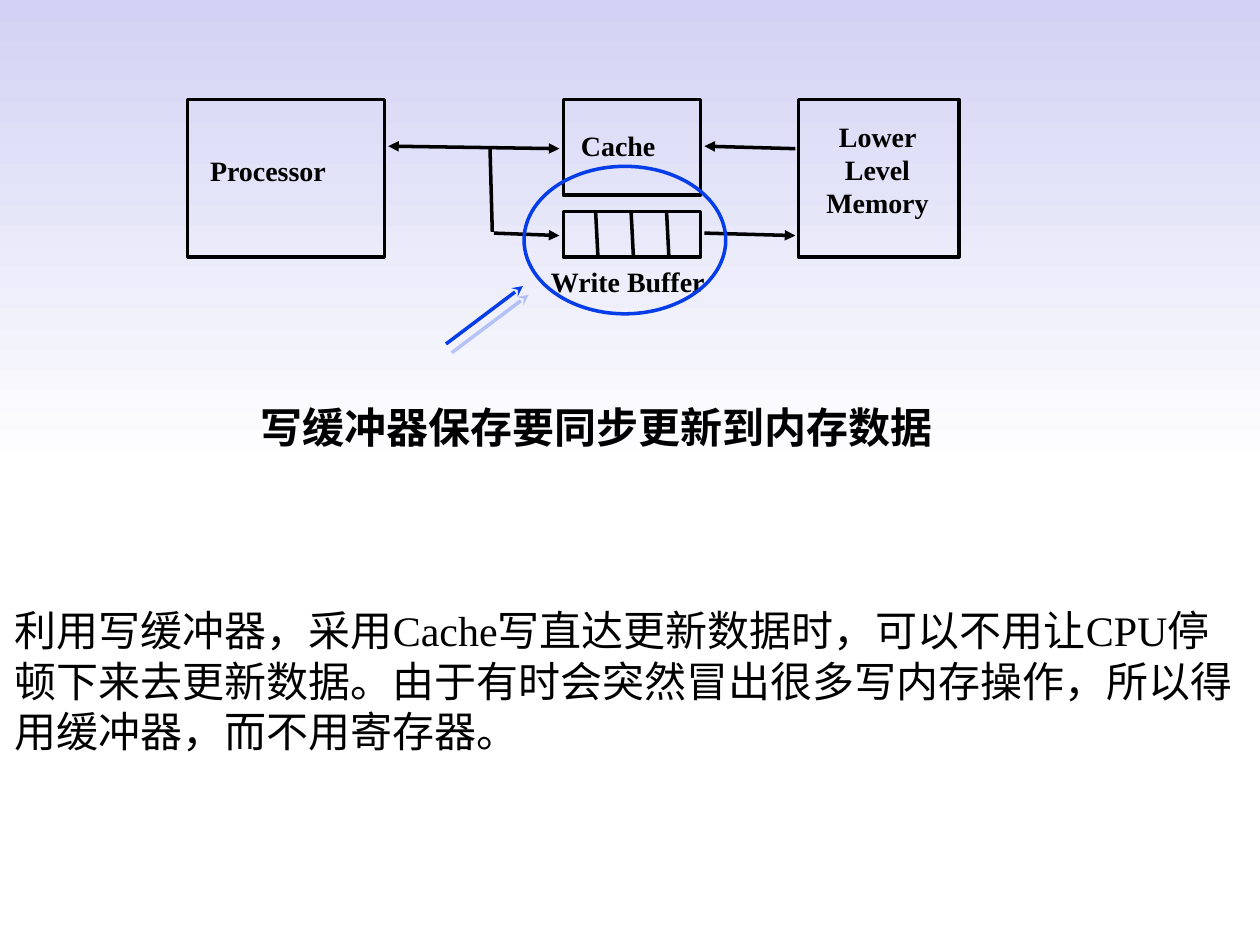
from dataclasses import dataclass

from lxml.etree import SubElement
from pptx import Presentation
from pptx.dml.color import RGBColor
from pptx.enum.shapes import MSO_CONNECTOR, MSO_SHAPE
from pptx.enum.text import PP_ALIGN
from pptx.oxml.ns import qn
from pptx.util import Inches, Pt

BLACK, BLUE = "000000", "053DE8"
SERIF, CJK = "Times New Roman", "Noto Sans CJK SC"


@dataclass
class Box:
    """An area in inches, divided into 100 columns and 100 rows."""
    left: float
    top: float
    width: float
    height: float

    def point(self, col, row):
        return (Inches(self.left + self.width * col / 100),
                Inches(self.top + self.height * row / 100))

    def area(self, col, row, cols, rows):
        return (*self.point(col, row),
                Inches(self.width * cols / 100), Inches(self.height * rows / 100))


def color(value):
    return RGBColor.from_string(value)


def add_outline(slide, area, preset=MSO_SHAPE.RECTANGLE, line=BLACK):
    outline = slide.shapes.add_shape(preset, *area)
    outline.shadow.inherit = False
    outline.fill.background()
    outline.line.color.rgb = color(line)
    outline.line.width = Pt(2)


def add_line(slide, start, end, line=BLACK, head=None, tail=None):
    """Draw a straight line and return its effect list."""
    link = slide.shapes.add_connector(MSO_CONNECTOR.STRAIGHT, *start, *end)
    link.line.color.rgb = color(line)
    link.line.width = Pt(2)
    outline = link.line._get_or_add_ln()
    for tag, arrow in (("a:headEnd", head), ("a:tailEnd", tail)):
        if arrow:
            SubElement(outline, qn(tag), type=arrow)
    return SubElement(link._element.spPr, qn("a:effectLst"))


def add_text(slide, area, text, size, bold=False, latin=SERIF, align=PP_ALIGN.LEFT,
             wrap=True, spacing=None, insets=(0, 0)):
    frame = slide.shapes.add_textbox(*area).text_frame
    frame.word_wrap = wrap
    frame.margin_left = frame.margin_right = Inches(insets[0])
    frame.margin_top = frame.margin_bottom = Inches(insets[1])
    paragraph = frame.paragraphs[0]
    paragraph.text = text
    paragraph.alignment = align
    if spacing:
        paragraph.line_spacing = Pt(spacing)
    font = paragraph.font
    font.name, font.size, font.bold = latin, Pt(size), bold
    font.color.rgb = color(BLACK)
    SubElement(font._element, qn("a:ea"), typeface=CJK)


def paint_background(slide):
    fill = slide.background.fill
    fill.gradient()
    fill.gradient_angle = 270
    for stop, position, shade in zip(fill.gradient_stops, (0, 0.5), ("D2D2F4", "FFFFFF")):
        stop.position = position
        stop.color.rgb = color(shade)


def add_memory_diagram(slide, box):
    # Processor, cache, write buffer and memory
    for block in ((0, 0, 25.5, 100), (48.7, 0, 17.8, 60.8),
                  (48.7, 71.2, 17.8, 28.8), (79.2, 0, 20.8, 100)):
        add_outline(slide, box.area(*block))

    # Buffer entries
    for entry in range(3):
        col = 52.9 + 4.6 * entry
        add_line(slide, box.point(col, 71.2), box.point(col + 0.3, 100))

    # Data paths
    arrow = "triangle"
    for start, end, head, tail in (
        ((39.7, 84.8), (48.2, 86.4), None, arrow),
        ((26, 29.6), (48.2, 31.2), arrow, arrow),
        ((67, 84.8), (78.8, 86.4), None, arrow),
        ((67, 29.6), (78.8, 31.2), arrow, None),
        ((39.2, 31.2), (39.5, 84), None, None),
    ):
        add_line(slide, box.point(*start), box.point(*end), head=head, tail=tail)

    # Labels
    for label, place in (("Processor", (2.9, 34.4, 17, 24.8)),
                         ("Cache", (51, 18.4, 11, 24.8)),
                         ("Write Buffer", (47.1, 104.8, 22.7, 24.8))):
        add_text(slide, box.area(*place), label, 16, True, wrap=False, spacing=19)
    add_text(slide, box.area(80.4, 12.8, 18.1, 75.2), "Lower Level Memory", 16, True,
             align=PP_ALIGN.CENTER, spacing=19)


def add_buffer_callout(slide, box):
    add_outline(slide, box.area(27.9, 0, 72.1, 83), MSO_SHAPE.OVAL, BLUE)
    effects = add_line(slide, box.point(0, 100), box.point(27.5, 67.4), BLUE, tail="stealth")
    shadow = SubElement(effects, qn("a:outerShdw"), blurRad="0", dist=str(Pt(6)),
                        dir=str(57 * 60000), algn="ctr", rotWithShape="0")
    shade = SubElement(shadow, qn("a:srgbClr"), val=BLUE)
    SubElement(shade, qn("a:alpha"), val="25000")


def add_explanation(slide, box):
    add_text(slide, box.area(2.4, 0, 89.9, 16.7), "写缓冲器保存要同步更新到内存数据", 24, True,
             latin=CJK, align=PP_ALIGN.CENTER)
    add_text(slide, box.area(0.2, 54.4, 100, 45.6),
             "利用写缓冲器，采用Cache写直达更新数据时，可以不用让CPU停顿下来去更新数据。"
             "由于有时会突然冒出很多写内存操作，所以得用缓冲器，而不用寄存器。",
             24, insets=(0.1, 0.05))


def main():
    deck = Presentation()
    deck.slide_width, deck.slide_height = Inches(10), Inches(7.5)
    slide = deck.slides.add_slide(deck.slide_layouts[6])
    paint_background(slide)
    add_memory_diagram(slide, Box(1.49, 0.79, 6.12, 1.25))
    add_buffer_callout(slide, Box(3.54, 1.32, 2.22, 1.41))
    add_explanation(slide, Box(0, 3.19, 10, 2.87))
    deck.save("out.pptx")


if __name__ == "__main__":
    main()
